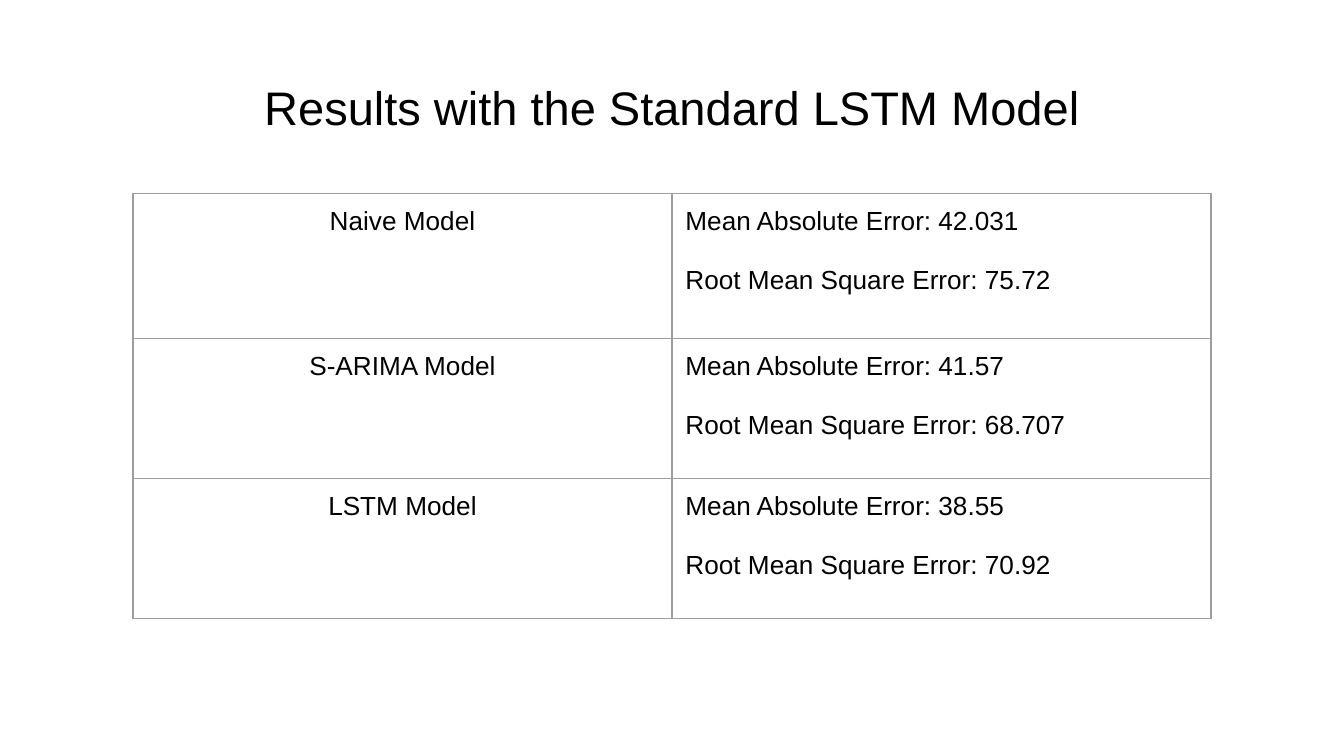
from dataclasses import dataclass

from lxml import etree
from pptx import Presentation
from pptx.dml.color import RGBColor
from pptx.enum.text import MSO_ANCHOR, PP_ALIGN
from pptx.oxml.ns import qn
from pptx.util import Inches, Pt

CENTER, LEFT = PP_ALIGN.CENTER, PP_ALIGN.LEFT
TOP, MIDDLE = MSO_ANCHOR.TOP, MSO_ANCHOR.MIDDLE


@dataclass(frozen=True)
class Theme:
    """Colours, type and spacing of the slide."""
    font: str = "Arial"
    text: str = "000000"
    background: str = "FFFFFF"
    border: str = "9E9E9E"
    border_width: float = 0.75
    title_size: float = 25.2
    body_size: float = 14
    paragraph_gap: float = 15.6
    inset: float = 0.1


THEME = Theme()
SLIDE_WIDTH = 10
SLIDE_HEIGHT = SLIDE_WIDTH * 9 / 16
TITLE = "Results with the Standard LSTM Model"
RESULTS = [
    ("Naive Model", "42.031", "75.72"),
    ("S-ARIMA Model", "41.57", "68.707"),
    ("LSTM Model", "38.55", "70.92"),
]
ROW_HEIGHTS = [1.08, 1.04, 1.04]


def set_values(target, values):
    """Set every attribute named in a dict of format values."""
    for name, value in values.items():
        setattr(target, name, value)


def margins():
    """Return equal insets for a text frame or a cell."""
    sides = ("left", "right", "top", "bottom")
    return {f"margin_{side}": Inches(THEME.inset) for side in sides}


def write_lines(text_frame, lines, size, alignment):
    """Write one paragraph per line, spaced from the one before."""
    for index, line in enumerate(lines):
        paragraph = text_frame.add_paragraph() if index else text_frame.paragraphs[0]
        gap = Pt(THEME.paragraph_gap if index else 0)
        set_values(paragraph, {"alignment": alignment, "space_before": gap})
        run = paragraph.add_run()
        run.text = line
        set_values(run.font, {"name": THEME.font, "size": Pt(size)})
        run.font.color.rgb = RGBColor.from_string(THEME.text)


def add_borders(cell):
    """Draw the same thin line on all four sides of a cell."""
    properties = cell._tc.get_or_add_tcPr()
    for index, side in enumerate(("lnL", "lnR", "lnT", "lnB")):
        line = etree.Element(qn(f"a:{side}"), w=str(Pt(THEME.border_width)))
        fill = etree.SubElement(line, qn("a:solidFill"))
        etree.SubElement(fill, qn("a:srgbClr"), val=THEME.border)
        properties.insert(index, line)


def add_title(slide, left, top, width, height):
    """Add the centred title in the given box."""
    box = slide.shapes.add_textbox(
        Inches(left), Inches(top), Inches(width), Inches(height))
    frame_format = {"word_wrap": True, "vertical_anchor": MIDDLE, **margins()}
    set_values(box.text_frame, frame_format)
    write_lines(box.text_frame, [TITLE], THEME.title_size, CENTER)


def add_results_table(slide, left, top, width, row_heights):
    """Add the table of models and their errors."""
    table = slide.shapes.add_table(
        len(RESULTS), 2, Inches(left), Inches(top),
        Inches(width), Inches(sum(row_heights))).table
    set_values(table, {"first_row": False, "horz_banding": False})
    for column in table.columns:
        column.width = Inches(width / 2)
    for row, height, (model, absolute, square) in zip(table.rows, row_heights, RESULTS):
        row.height = Inches(height)
        errors = [f"Mean Absolute Error: {absolute}",
                  f"Root Mean Square Error: {square}"]
        for cell, lines, alignment in zip(row.cells, ([model], errors), (CENTER, LEFT)):
            set_values(cell, {"vertical_anchor": TOP, **margins()})
            cell.fill.background()
            add_borders(cell)
            write_lines(cell.text_frame, lines, THEME.body_size, alignment)


def main():
    """Build the slide and save it."""
    presentation = Presentation()
    set_values(presentation, {"slide_width": Inches(SLIDE_WIDTH),
                              "slide_height": Inches(SLIDE_HEIGHT)})
    slide = presentation.slides.add_slide(presentation.slide_layouts[6])
    slide.background.fill.solid()
    slide.background.fill.fore_color.rgb = RGBColor.from_string(THEME.background)
    add_title(slide, 0.34, 0.48, 9.32, 0.63)
    add_results_table(slide, 0.99, 1.44, 8.02, ROW_HEIGHTS)
    presentation.save("out.pptx")


if __name__ == "__main__":
    main()
